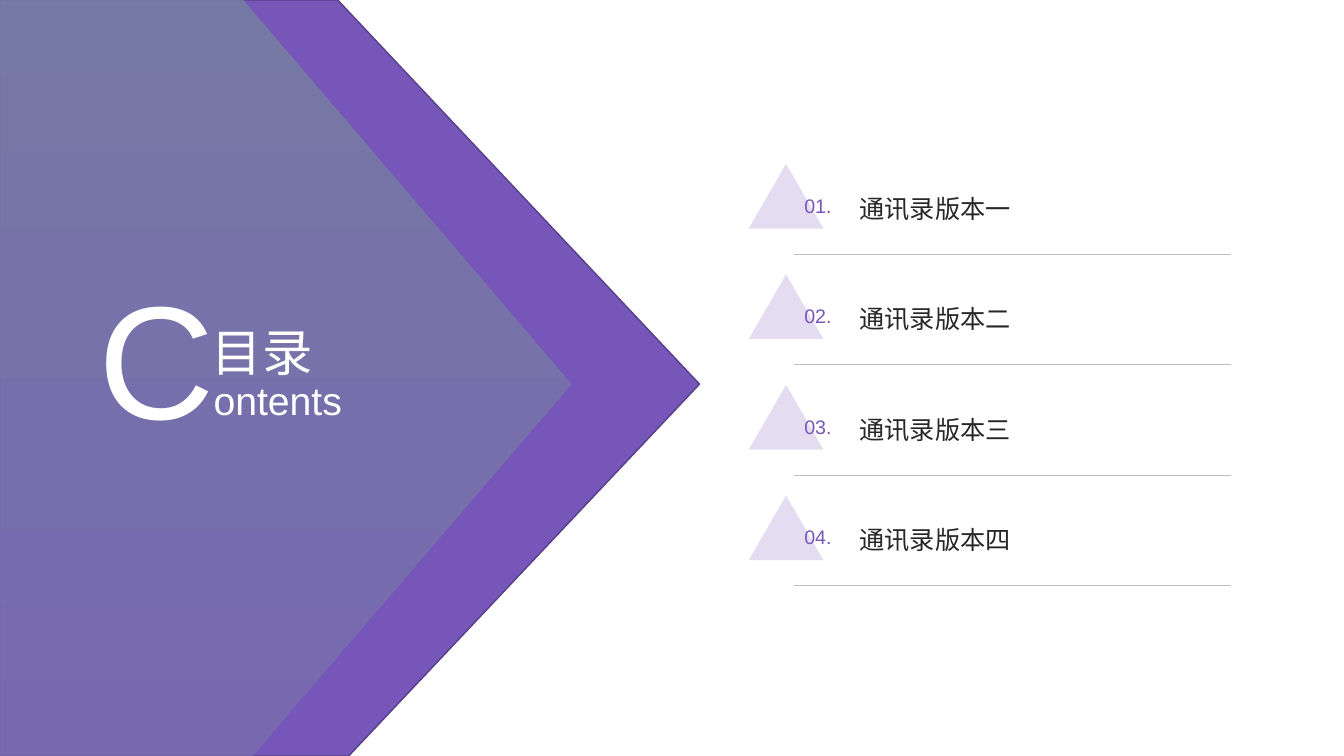
from lxml.etree import SubElement
from pptx import Presentation
from pptx.dml.color import RGBColor
from pptx.enum.shapes import MSO_CONNECTOR, MSO_SHAPE
from pptx.enum.text import MSO_ANCHOR, MSO_AUTO_SIZE, PP_ALIGN
from pptx.oxml.ns import qn
from pptx.util import Cm, Pt

PURPLE = RGBColor(0x76, 0x56, 0xB9)
PURPLE_EDGE = RGBColor(0x57, 0x40, 0x89)
VEIL_BOTTOM = RGBColor(0x78, 0x6D, 0xAD)
VEIL_TOP = RGBColor(0x78, 0x82, 0xA1)
LILAC = RGBColor(0xE4, 0xDD, 0xF1)
INK = RGBColor(0x26, 0x26, 0x26)
RULE = RGBColor(0xBF, 0xBF, 0xBF)
WHITE = RGBColor(0xFF, 0xFF, 0xFF)

WIDTH, HEIGHT = 33.87, 19.05
APEX_Y = 9.68
FIRST_Y, PITCH = 4.13, 2.785
ENTRIES = ["通讯录版本一", "通讯录版本二", "通讯录版本三", "通讯录版本四"]


class ContentsSlide:
    font = "Arial"

    def __init__(self, prs):
        self.s = prs.slides.add_slide(prs.slide_layouts[5])

    def arrow_panel(self, top_x, apex_x, bottom_x):
        """Panel from the left edge, pointing right."""
        points = [(0, 0), (0, HEIGHT), (bottom_x, HEIGHT), (apex_x, APEX_Y)]
        builder = self.s.shapes.build_freeform(Cm(top_x), 0)
        builder.add_line_segments([(Cm(x), Cm(y)) for x, y in points])
        sp = builder.convert_to_shape()
        sp.shadow.inherit = False
        return sp

    def solid_panel(self, *xs):
        sp = self.arrow_panel(*xs)
        sp.fill.solid()
        sp.fill.fore_color.rgb = PURPLE
        sp.line.color.rgb = PURPLE_EDGE
        sp.line.width = Pt(1)

    def veil_panel(self, *xs):
        """Translucent panel, shaded from bottom to top."""
        sp = self.arrow_panel(*xs)
        sp.line.fill.background()
        sp.fill.gradient()
        sp.fill.gradient_angle = 90
        for stop, color in zip(sp.fill.gradient_stops, (VEIL_BOTTOM, VEIL_TOP)):
            stop.color.rgb = color
        for clr in sp.element.spPr.iter(qn("a:srgbClr")):
            SubElement(clr, qn("a:alpha"), val="80000")

    def triangle(self, x, y, w, h):
        sp = self.s.shapes.add_shape(MSO_SHAPE.ISOSCELES_TRIANGLE, Cm(x), Cm(y), Cm(w), Cm(h))
        sp.shadow.inherit = False
        sp.fill.solid()
        sp.fill.fore_color.rgb = LILAC
        sp.line.fill.background()

    def rule(self, x1, x2, y):
        line = self.s.shapes.add_connector(MSO_CONNECTOR.STRAIGHT, Cm(x1), Cm(y), Cm(x2), Cm(y))
        line.line.color.rgb = RULE
        line.line.width = Pt(0.25)
        SubElement(line.element.spPr, qn("a:effectLst"))

    def format_text(self, sp, text, size, color, align, anchor):
        tf = sp.text_frame
        tf.text = text
        tf.word_wrap = True
        tf.auto_size = MSO_AUTO_SIZE.NONE
        tf.vertical_anchor = anchor
        p = tf.paragraphs[0]
        p.alignment = align
        font = p.runs[0].font
        font.name, font.size, font.color.rgb = self.font, Pt(size), color

    def text(self, text, x, y, w, h, size, color, align=PP_ALIGN.LEFT, anchor=MSO_ANCHOR.TOP):
        sp = self.s.shapes.add_textbox(Cm(x), Cm(y), Cm(w), Cm(h))
        self.format_text(sp, text, size, color, align, anchor)

    def title(self, text, x, y, w, h, size, color):
        sp = self.s.shapes.title
        sp.left, sp.top, sp.width, sp.height = Cm(x), Cm(y), Cm(w), Cm(h)
        self.format_text(sp, text, size, color, PP_ALIGN.CENTER, MSO_ANCHOR.MIDDLE)
        sp.element.getparent().append(sp.element)  # in front of the panels

    def entry(self, number, label, y):
        self.triangle(18.87, y, 1.88, 1.63)
        self.text(f"{number:02d}.", 20.02, y + 0.62, 1.25, 0.99, 14, PURPLE)
        self.text(label, 21.41, y + 0.34, 9.5, 1.55, 18, INK, anchor=MSO_ANCHOR.MIDDLE)
        self.rule(20.02, 31.01, y + 2.27)


def main():
    prs = Presentation()
    prs.slide_width, prs.slide_height = Cm(WIDTH), Cm(HEIGHT)
    slide = ContentsSlide(prs)
    slide.solid_panel(8.51, 17.63, 8.79)
    slide.veil_panel(6.12, 14.4, 6.37)
    for i, label in enumerate(ENTRIES):
        slide.entry(i + 1, label, FIRST_Y + i * PITCH)
    slide.title("目录", 3.81, 7.26, 5.59, 3.18, 36, WHITE)
    slide.text("ontents", 3.48, 9.35, 7.04, 1.45, 28, WHITE, PP_ALIGN.CENTER)
    slide.text("C", 2.24, 6.4, 3.5, 5.18, 115, WHITE)
    prs.save("out.pptx")


if __name__ == "__main__":
    main()
